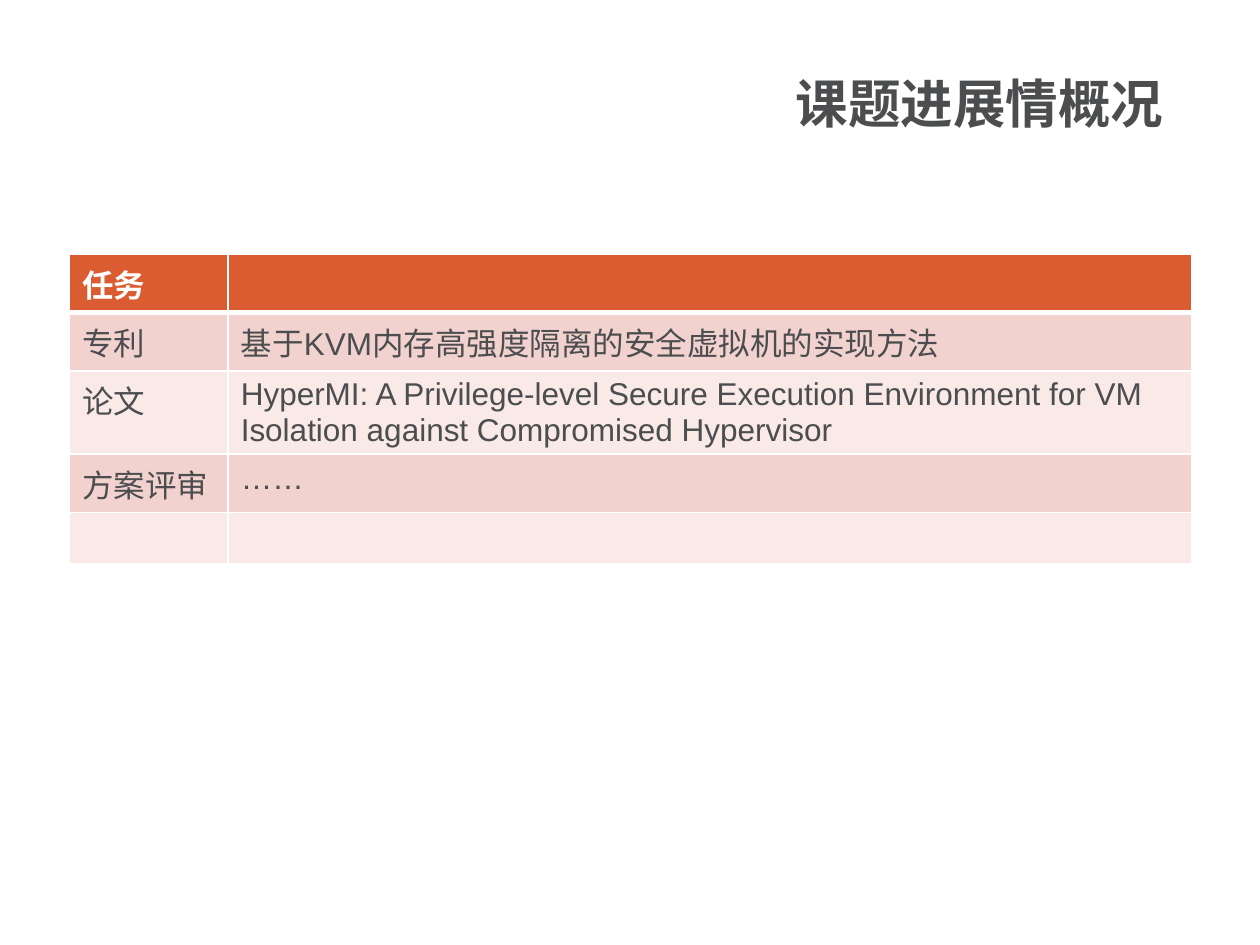
from lxml import etree
from pptx import Presentation
from pptx.dml.color import RGBColor
from pptx.enum.lang import MSO_LANGUAGE_ID
from pptx.enum.text import MSO_ANCHOR, MSO_AUTO_SIZE, PP_ALIGN
from pptx.oxml.ns import qn
from pptx.util import Cm, Pt

WHITE = RGBColor(0xFF, 0xFF, 0xFF)
CHARCOAL = RGBColor(0x4B, 0x4D, 0x4F)
ORANGE = RGBColor(0xDC, 0x5C, 0x31)
ROSE = RGBColor(0xF2, 0xD2, 0xCE)
PALE_ROSE = RGBColor(0xF9, 0xEA, 0xE8)

BOTTOM = MSO_ANCHOR.BOTTOM
NO_AUTOFIT = MSO_AUTO_SIZE.NONE
RIGHT = PP_ALIGN.RIGHT
CHINESE = MSO_LANGUAGE_ID.SIMPLIFIED_CHINESE

TITLE_FONT = {"name": "Montserrat", "size": Pt(30), "bold": True}
CELL_FONT = {"name": "Arial", "size": Pt(18)}
COLUMN_WIDTHS = (Cm(3.2), Cm(19.43))
ROW_HEIGHT = Cm(1.04)

PROGRESS = [
    ("任务", ""),
    ("专利", "基于KVM内存高强度隔离的安全虚拟机的实现方法"),
    ("论文", "HyperMI: A Privilege-level Secure Execution Environment "
             "for VM Isolation against Compromised Hypervisor"),
    ("方案评审", "……"),
    ("", ""),
]


def set_attributes(target, values):
    for name, value in values.items():
        setattr(target, name, value)


def write_run(paragraph, text, font_format, color):
    run = paragraph.add_run()
    run.text = text
    set_attributes(run.font, {**font_format, "language_id": CHINESE})
    run.font.color.rgb = color


def add_title(slide, text):
    title = slide.shapes.title
    set_attributes(title, {"left": Cm(10.31), "top": Cm(0.91),
                           "width": Cm(13.39), "height": Cm(1.93)})
    frame = title.text_frame
    set_attributes(frame, {"vertical_anchor": BOTTOM, "word_wrap": True,
                           "auto_size": NO_AUTOFIT})
    paragraph = frame.paragraphs[0]
    set_attributes(paragraph, {"alignment": RIGHT, "line_spacing": 0.9})
    write_run(paragraph, text, TITLE_FONT, CHARCOAL)


def set_borders(cell, widths):
    properties = cell._tc.get_or_add_tcPr()
    for side, width in widths.items():
        line = etree.SubElement(properties, qn(f"a:ln{side}"), w=str(Pt(width)))
        fill = etree.SubElement(line, qn("a:solidFill"))
        etree.SubElement(fill, qn("a:srgbClr"), val=str(WHITE))


def format_cell(cell, text, row):
    is_header = row == 0
    set_borders(cell, {"L": 1, "R": 1, "T": 3 if row == 1 else 1,
                       "B": 3 if is_header else 1})
    cell.fill.solid()
    band = ROSE if row % 2 else PALE_ROSE
    cell.fill.fore_color.rgb = ORANGE if is_header else band
    if text:
        write_run(cell.text_frame.paragraphs[0], text,
                  {**CELL_FONT, "bold": is_header},
                  WHITE if is_header else CHARCOAL)


def add_progress_table(slide):
    table = slide.shapes.add_table(
        len(PROGRESS), len(COLUMN_WIDTHS), Cm(1.4), Cm(5.13),
        sum(COLUMN_WIDTHS), ROW_HEIGHT * len(PROGRESS)).table
    for column, width in zip(table.columns, COLUMN_WIDTHS):
        column.width = width
    for row, entries in enumerate(PROGRESS):
        table.rows[row].height = ROW_HEIGHT
        for column, text in enumerate(entries):
            format_cell(table.cell(row, column), text, row)


def main():
    presentation = Presentation()
    set_attributes(presentation, {"slide_width": Cm(25.4), "slide_height": Cm(19.05)})
    slide = presentation.slides.add_slide(presentation.slide_layouts[5])
    add_title(slide, "课题进展情概况")
    add_progress_table(slide)
    presentation.save("out.pptx")


if __name__ == "__main__":
    main()
